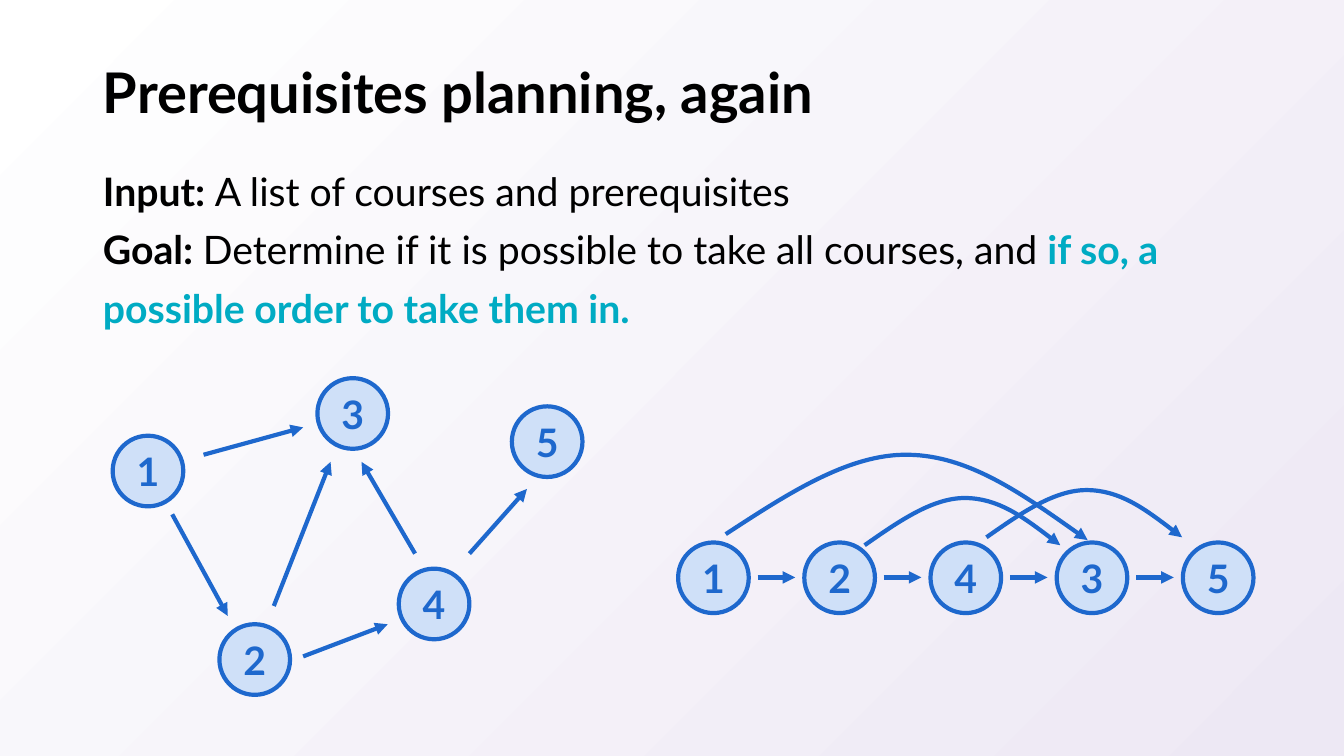
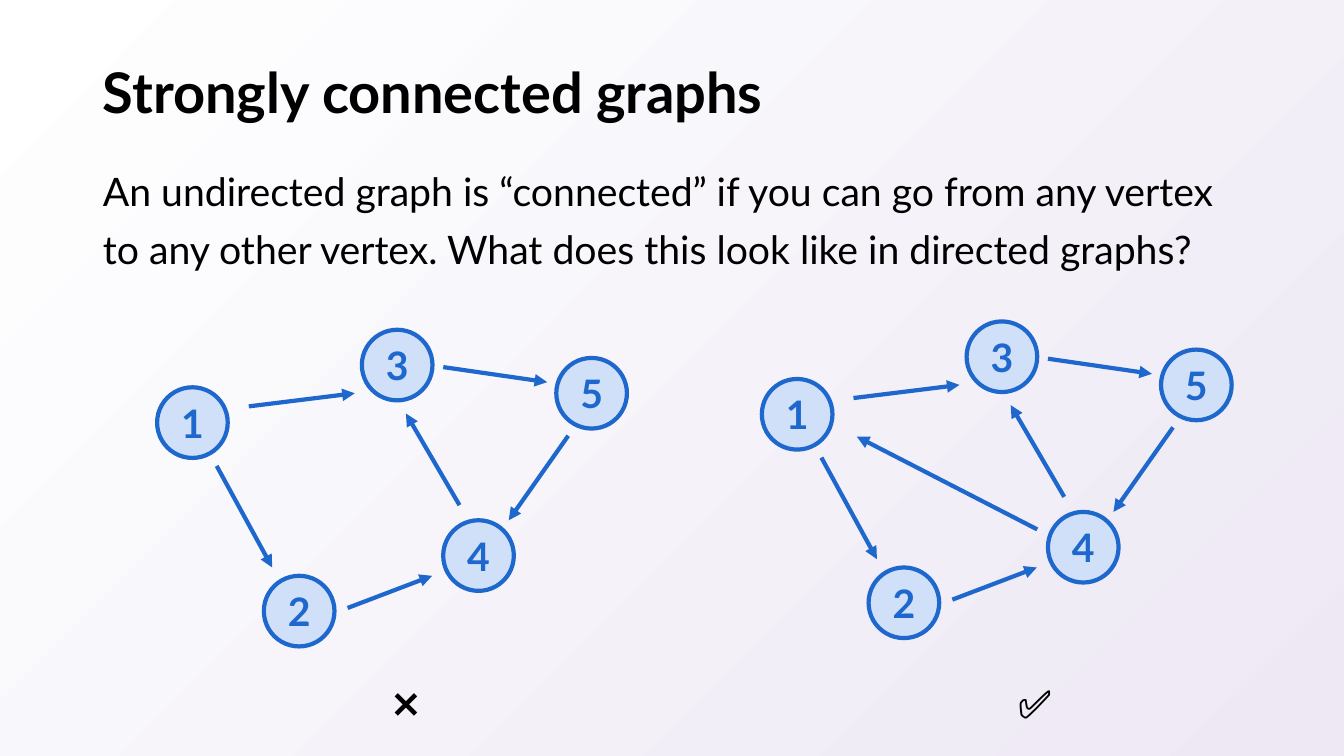
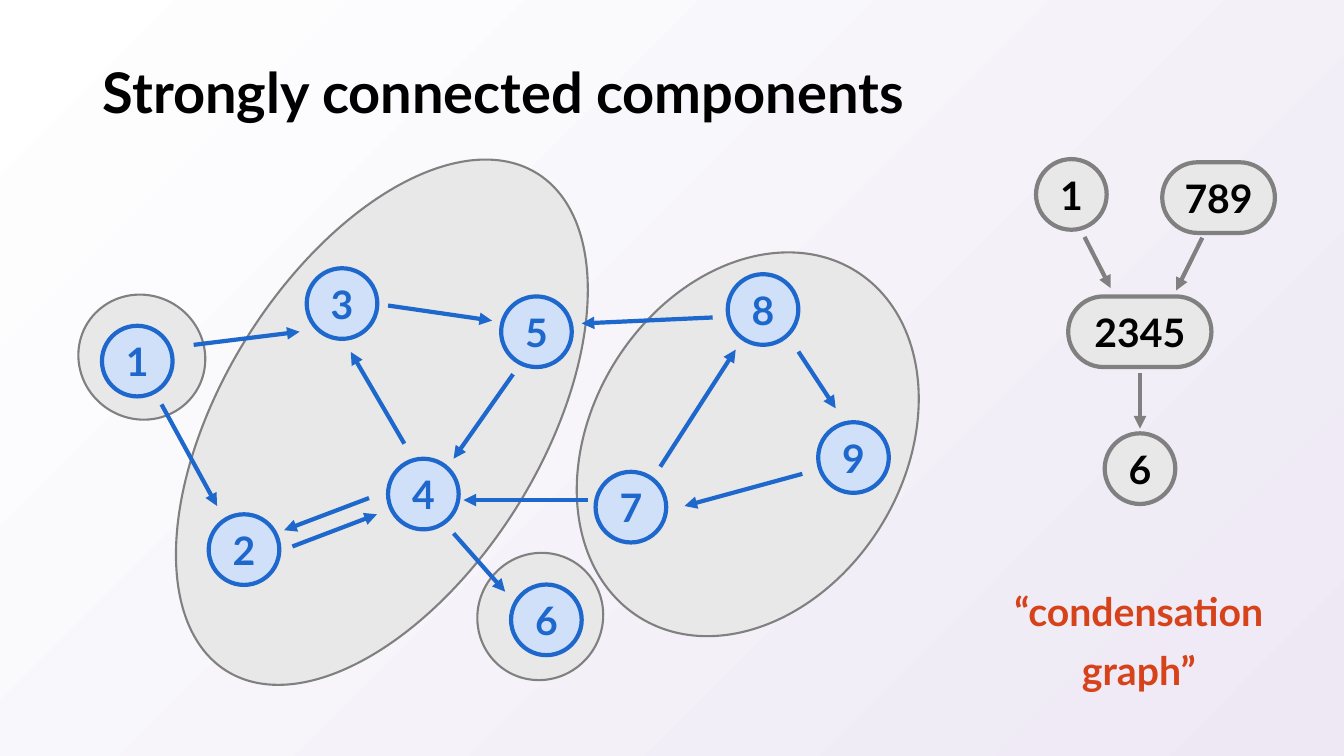
from dataclasses import dataclass

from lxml.etree import SubElement
from pptx import Presentation
from pptx.dml.color import RGBColor
from pptx.enum.shapes import MSO_CONNECTOR, MSO_SHAPE
from pptx.enum.text import MSO_ANCHOR, MSO_AUTO_SIZE, PP_ALIGN
from pptx.oxml.ns import qn
from pptx.util import Cm, Pt


@dataclass(frozen=True)
class Theme:
    font: str = "Lato"
    title_size: float = 40
    text_size: float = 28
    thick: float = 3
    thin: float = 1.5
    black: str = "000000"
    white: str = "FFFFFF"
    lilac: str = "EDE8F4"
    blue: str = "1E68CD"
    pale_blue: str = "CFE0F8"
    grey: str = "808080"
    pale_grey: str = "E8E8E8"
    teal: str = "00ABC3"
    orange: str = "D6431A"


theme = Theme()


def add_span(para, text, color=theme.black, bold=False, size=theme.text_size):
    span = para.add_run()
    span.text = text
    span.font.name = theme.font
    span.font.size = Pt(size)
    span.font.bold = bold
    span.font.color.rgb = RGBColor.from_string(color)


def style_arrow(arrow, color):
    arrow.line.color.rgb = RGBColor.from_string(color)
    arrow.line.width = Pt(theme.thick)
    SubElement(arrow.line._get_or_add_ln(), qn("a:tailEnd"), type="triangle")
    SubElement(arrow.element.spPr, qn("a:effectLst"))


deck = Presentation()
deck.slide_width, deck.slide_height = Cm(33.87), Cm(19.05)

backdrop = deck.slide_master.background.fill
backdrop.gradient()
backdrop.gradient_angle = 315
for stop, color in zip(backdrop.gradient_stops, (theme.white, theme.lilac)):
    stop.color.rgb = RGBColor.from_string(color)

text_layout, title_layout = deck.slide_layouts[1], deck.slide_layouts[5]
for layout in (text_layout, title_layout):
    for holder in layout.placeholders:
        if holder.placeholder_format.idx < 2:
            is_title = holder.placeholder_format.idx == 0
            holder.left, holder.width = Cm(2.34), Cm(29.21)
            holder.top = Cm(1.02 if is_title else 3.78)
            holder.height = Cm(2.77 if is_title else 13.36)

contents = [
    ("Prerequisites planning, again", [
        [("Input: ", theme.black, True),
         ("A list of courses and prerequisites", theme.black, False)],
        [("Goal: ", theme.black, True),
         ("Determine if it is possible to take all courses, and ", theme.black, False),
         ("if so, a possible order to take them in.", theme.teal, True)],
    ]),
    ("Strongly connected graphs", [
        [("An undirected graph is “connected” if you can go from any vertex to any "
          "other vertex. What does this look like in directed graphs?", theme.black, False)],
    ]),
    ("Strongly connected components", []),
]

for title, body in contents:
    page = deck.slides.add_slide(text_layout if body else title_layout)
    frame = page.shapes.title.text_frame
    frame.auto_size = MSO_AUTO_SIZE.NONE
    frame.vertical_anchor = MSO_ANCHOR.MIDDLE
    para = frame.paragraphs[0]
    para.alignment = PP_ALIGN.LEFT
    para.line_spacing = 0.9
    add_span(para, title, bold=True, size=theme.title_size)
    for index, spans in enumerate(body):
        frame = page.placeholders[1].text_frame
        frame.auto_size = MSO_AUTO_SIZE.NONE
        para = frame.add_paragraph() if index else frame.paragraphs[0]
        para.line_spacing = 1.25
        para.space_before = Pt(0)
        properties = para._p.get_or_add_pPr()
        properties.set("marL", "0")
        properties.set("indent", "0")
        SubElement(properties, qn("a:buNone"))
        for text, color, bold in spans:
            add_span(para, text, color, bold)

planning, connected, components = deck.slides

# fmt: off
graph_nodes = [("3", 5.16, 0), ("1", 0, 1.45), ("4", 7.21, 4.8), ("2", 2.69, 6.2), ("5", 10.06, 0.71)]
graph_edges = [(1.5, 3.43, 2.9, 5.99), (4.8, 7.01, 6.93, 6.2), (7.62, 4.42, 6.27, 2.11)]
acyclic_edges = [(2.29, 1.93, 4.8, 1.24), (8.99, 4.42, 10.44, 2.79), (4.06, 5.74, 5.49, 2.11)]
cyclic_edges = [(2.31, 1.93, 4.98, 1.6), (7.21, 0.94, 9.83, 1.32), (10.36, 2.67, 8.86, 4.8)]
graphs = [
    (planning, 2.84, 9.53, acyclic_edges),
    (connected, 3.96, 8.31, cyclic_edges),
    (connected, 19.2, 8.1, cyclic_edges),
    (components, 2.57, 6.76, cyclic_edges),
]

node_size = 1.78
nodes = [
    (components, label, left, top, node_size, theme.pale_blue, theme.blue, theme.blue)
    for label, left, top in [("6", 12.88, 14.73), ("7", 15.01, 11.89), ("8", 18.34, 6.91), ("9", 20.62, 10.64)]
]
nodes += [
    (components, label, left, top, width, theme.pale_grey, theme.grey, theme.black)
    for label, left, top, width in [
        ("1", 26.11, 4.01, node_size), ("2345", 26.92, 7.47, 3.61),
        ("789", 29.29, 4.09, 2.84), ("6", 27.84, 10.92, node_size),
    ]
]
arrows = [(connected, theme.blue, 26.14, 13.34, 21.59, 11)]
arrows += [(components, theme.blue, *ends) for ends in [
    (14.83, 12.6, 11.68, 12.6), (17.96, 8, 14.66, 8.15), (16.64, 11.76, 18.54, 8.81),
    (11.43, 13.44, 12.73, 14.91), (20.12, 8.86, 21.06, 10.29),
    (9.3, 12.55, 7.16, 13.36), (20.22, 11.94, 17.25, 12.75),
]]
arrows += [(components, theme.grey, *ends) for ends in [
    (27.33, 5.97, 27.99, 7.26), (30.3, 5.99, 29.64, 7.32), (28.73, 9.4, 28.73, 10.8),
]]

for page, left, top, own_edges in graphs:
    for label, x, y in graph_nodes:
        nodes.append((page, label, left + x, top + y, node_size, theme.pale_blue, theme.blue, theme.blue))
    for x1, y1, x2, y2 in graph_edges + own_edges:
        arrows.append((page, theme.blue, left + x1, top + y1, left + x2, top + y2))

course_order = "12435"
for index, label in enumerate(course_order):
    left = 17.09 + 3.18 * index
    nodes.append((planning, label, left, 13.67, node_size, theme.pale_blue, theme.blue, theme.blue))
    if index < len(course_order) - 1:
        arrows.append((planning, theme.blue, left + 2, 14.55, left + 2.95, 14.55))

hulls = [
    (1.96, 7.44, 3.23, 3.12), (12.04, 13.92, 3.15, 3.23),
    (14.91, 6.05, 7.87, 10.29), (5.61, 3.25, 8.03, 14.78),
]
for bounds in hulls:
    hull = components.shapes.add_shape(MSO_SHAPE.OVAL, *map(Cm, bounds))
    hull.rotation = 32
    hull.shadow.inherit = False
    hull.fill.solid()
    hull.fill.fore_color.rgb = RGBColor.from_string(theme.pale_grey)
    hull.line.color.rgb = RGBColor.from_string(theme.grey)
    hull.line.width = Pt(theme.thin)

for page, label, left, top, width, fill, line, color in nodes:
    outline = MSO_SHAPE.OVAL if len(label) == 1 else MSO_SHAPE.ROUNDED_RECTANGLE
    node = page.shapes.add_shape(outline, Cm(left), Cm(top), Cm(width), Cm(node_size))
    if len(label) > 1:
        node.adjustments[0] = 0.5
    node.shadow.inherit = False
    node.fill.solid()
    node.fill.fore_color.rgb = RGBColor.from_string(fill)
    node.line.color.rgb = RGBColor.from_string(line)
    node.line.width = Pt(theme.thick)
    frame = node.text_frame
    frame.word_wrap = False
    frame.vertical_anchor = MSO_ANCHOR.MIDDLE
    para = frame.paragraphs[0]
    para.alignment = PP_ALIGN.CENTER
    add_span(para, label, color, bold=True)

for page, color, *ends in arrows:
    arrow = page.shapes.add_connector(MSO_CONNECTOR.STRAIGHT, *map(Cm, ends))
    style_arrow(arrow, color)

short_arc = [(21.79, 13.74), (22.66, 13.13), (23.5, 12.55), (24.31, 12.55),
             (25.15, 12.55), (25.93, 13.13), (26.72, 13.74)]
long_arc = [(18.29, 13.46), (19.84, 12.45), (21.39, 11.43), (22.89, 11.46),
            (24.41, 11.48), (25.91, 12.55), (27.41, 13.61)]
for arc, shift_x, shift_y in [(short_arc, 0, 0), (long_arc, 0, 0), (short_arc, 3.07, -0.2)]:
    start, *controls = [(Cm(x + shift_x), Cm(y + shift_y)) for x, y in arc]
    builder = planning.shapes.build_freeform(*start)
    builder.add_line_segments(controls, close=False)
    curve = builder.convert_to_shape()
    curve.fill.background()
    style_arrow(curve, theme.blue)
    route = next(curve.element.iter(qn("a:path")))
    steps = route.findall(qn("a:lnTo"))
    for first in range(0, len(steps), 3):
        bend = SubElement(route, qn("a:cubicBezTo"))
        for step in steps[first:first + 3]:
            bend.append(step[0])
            route.remove(step)

captions = [
    (connected, "❌", (9.65, 16.69, 1.5, 1.65), False, PP_ALIGN.LEFT, theme.black),
    (connected, "✅", (25.4, 16.69, 1.5, 1.65), False, PP_ALIGN.LEFT, theme.black),
    (components, "“condensation graph”", (24.94, 14.38, 7.52, 3.1), True, PP_ALIGN.CENTER, theme.orange),
]
for page, text, bounds, wrap, alignment, color in captions:
    box = page.shapes.add_textbox(*map(Cm, bounds))
    frame = box.text_frame
    frame.word_wrap = wrap
    frame.auto_size = MSO_AUTO_SIZE.SHAPE_TO_FIT_TEXT
    para = frame.paragraphs[0]
    para.alignment = alignment
    para.line_spacing = 1.25
    add_span(para, text, color, bold=wrap)

deck.save("out.pptx")
